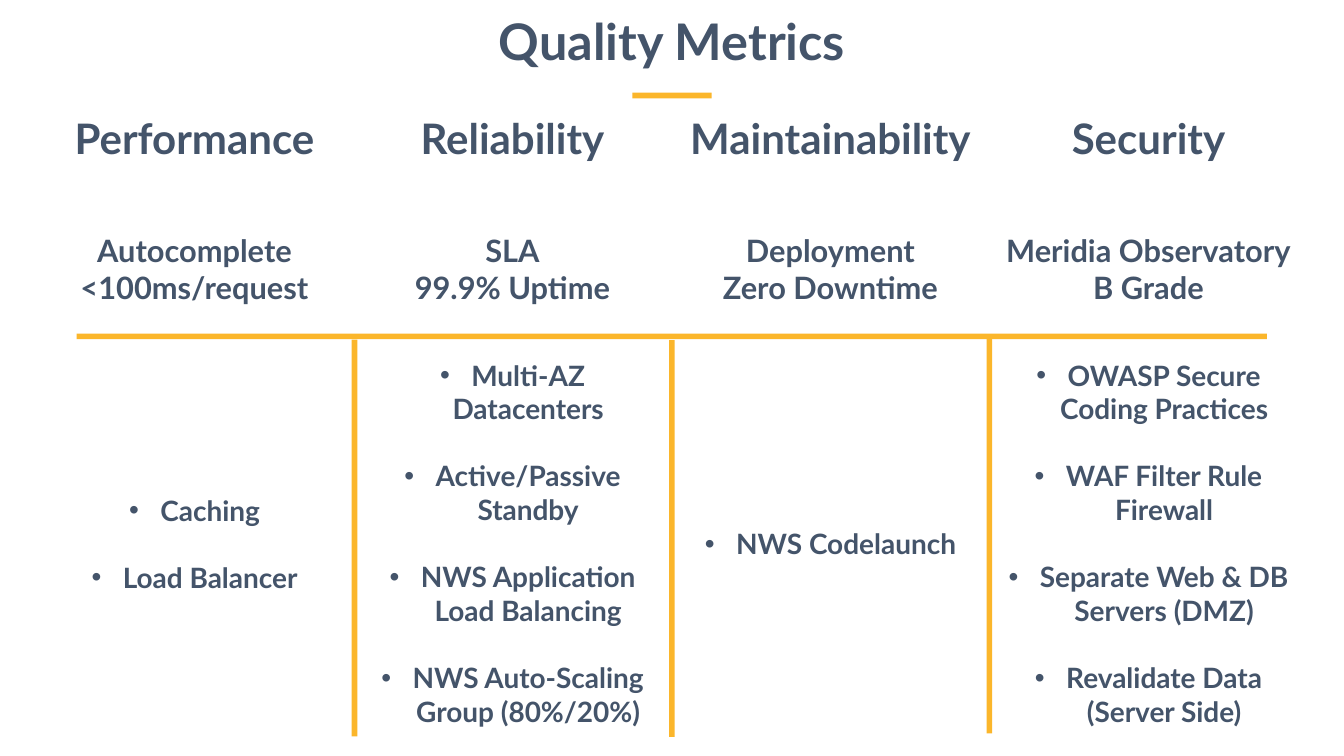
from dataclasses import dataclass

from lxml import etree
from pptx import Presentation
from pptx import util as u
from pptx.dml.color import RGBColor
from pptx.enum import shapes, text
from pptx.oxml.ns import qn

COLORS = {"ink": "44546A", "accent": "FBB62B"}
FONT = "Lato"
SLIDE_WIDTH, SLIDE_HEIGHT = 26.67, 15
FIRST_CENTER, COLUMN_PITCH = 3.86, 6.31
BAR = 0.11
DIVIDER_LEFT, DIVIDER_PITCH, DIVIDER_HEIGHT = 6.98, 6.3, 7.87
DIVIDER_TOPS = (6.74, 6.75, 6.68)
BULLET_MIDDLE, BULLET_LINE = 10.79, 0.67
BULLET_INDENT = 0.62


@dataclass(frozen=True)
class Metric:
    name: str
    name_width: float
    target: str
    measures: tuple[str, ...]
    line_count: int  # lines in the measure list, gaps included


METRICS = (
    Metric("Performance", 5.27, "Autocomplete\n<100ms/request",
           ("Caching", "Load Balancer"), 3),
    Metric("Reliability", 4.13, "SLA\n99.9% Uptime",
           ("Multi-AZ Datacenters", "Active/Passive Standby",
            "NWS Application Load Balancing",
            "NWS Auto-Scaling Group (80%/20%)"), 11),
    Metric("Maintainability", 6.2, "Deployment\nZero Downtime",
           ("NWS Codelaunch",), 1),
    Metric("Security", 3.4, "Meridia Observatory\nB Grade",
           ("OWASP Secure Coding Practices", "WAF Filter Rule Firewall",
            "Separate Web & DB Servers (DMZ)",
            "Revalidate Data\n(Server Side)"), 11),
)


def add_bar(page, left: float, top: float, width: float, height: float) -> None:
    bar = page.shapes.add_shape(shapes.MSO_SHAPE.RECTANGLE, u.Inches(left),
                                u.Inches(top), u.Inches(width), u.Inches(height))
    bar.shadow.inherit = False
    bar.fill.solid()
    bar.fill.fore_color.rgb = RGBColor.from_string(COLORS["accent"])
    bar.line.fill.background()


def add_bullet(para) -> None:
    properties = para._p.get_or_add_pPr()
    indent = u.Inches(BULLET_INDENT)
    properties.set("marL", str(indent))
    properties.set("indent", str(-indent))
    etree.SubElement(properties, qn("a:buFont")).set("typeface", "Arial")
    etree.SubElement(properties, qn("a:buChar")).set("char", "•")


def add_text(page, center: float, top: float, width: float, height: float,
             paragraphs: tuple[str, ...], size: float, wrap: bool = True,
             bulleted: bool = False) -> None:
    """Add a centred text box; a newline in a paragraph is a line break."""
    box = page.shapes.add_textbox(u.Inches(center - width / 2), u.Inches(top),
                                  u.Inches(width), u.Inches(height))
    frame = box.text_frame
    frame.word_wrap = wrap
    frame.auto_size = text.MSO_AUTO_SIZE.SHAPE_TO_FIT_TEXT
    for index, content in enumerate(paragraphs):
        para = frame.add_paragraph() if index else frame.paragraphs[0]
        para.alignment = text.PP_ALIGN.CENTER
        if index:
            para.space_before = u.Pt(BULLET_LINE * 72)
        if bulleted:
            add_bullet(para)
        for number, line in enumerate(content.split("\n")):
            if number:
                para.add_line_break()
            span = para.add_run()
            span.text = line
            span.font.name = FONT
            span.font.size = u.Pt(size)
            span.font.bold = True
            span.font.color.rgb = RGBColor.from_string(COLORS["ink"])


def add_metric(page, metric: Metric, center: float) -> None:
    add_text(page, center, 2.19, metric.name_width, 1.11, (metric.name,), 60,
             wrap=False)
    add_text(page, center, 4.55, 6.12, 1.58, (metric.target,), 44)
    height = metric.line_count * BULLET_LINE + 0.1
    add_text(page, center, BULLET_MIDDLE - height / 2, 5.81, height,
             metric.measures, 40, bulleted=True)


def main() -> None:
    deck = Presentation()
    deck.slide_width = u.Inches(SLIDE_WIDTH)
    deck.slide_height = u.Inches(SLIDE_HEIGHT)
    page = deck.slides.add_slide(deck.slide_layouts[6])

    add_bar(page, 12.55, 1.84, 1.57, BAR)
    add_text(page, SLIDE_WIDTH / 2, 0.16, 7.44, 1.31, ("Quality Metrics",), 72,
             wrap=False)
    add_bar(page, 1.52, 6.62, 23.62, BAR)
    for index, top in enumerate(DIVIDER_TOPS):
        add_bar(page, DIVIDER_LEFT + index * DIVIDER_PITCH, top, BAR,
                DIVIDER_HEIGHT)
    for index, metric in enumerate(METRICS):
        add_metric(page, metric, FIRST_CENTER + index * COLUMN_PITCH)

    deck.save("out.pptx")


if __name__ == "__main__":
    main()
